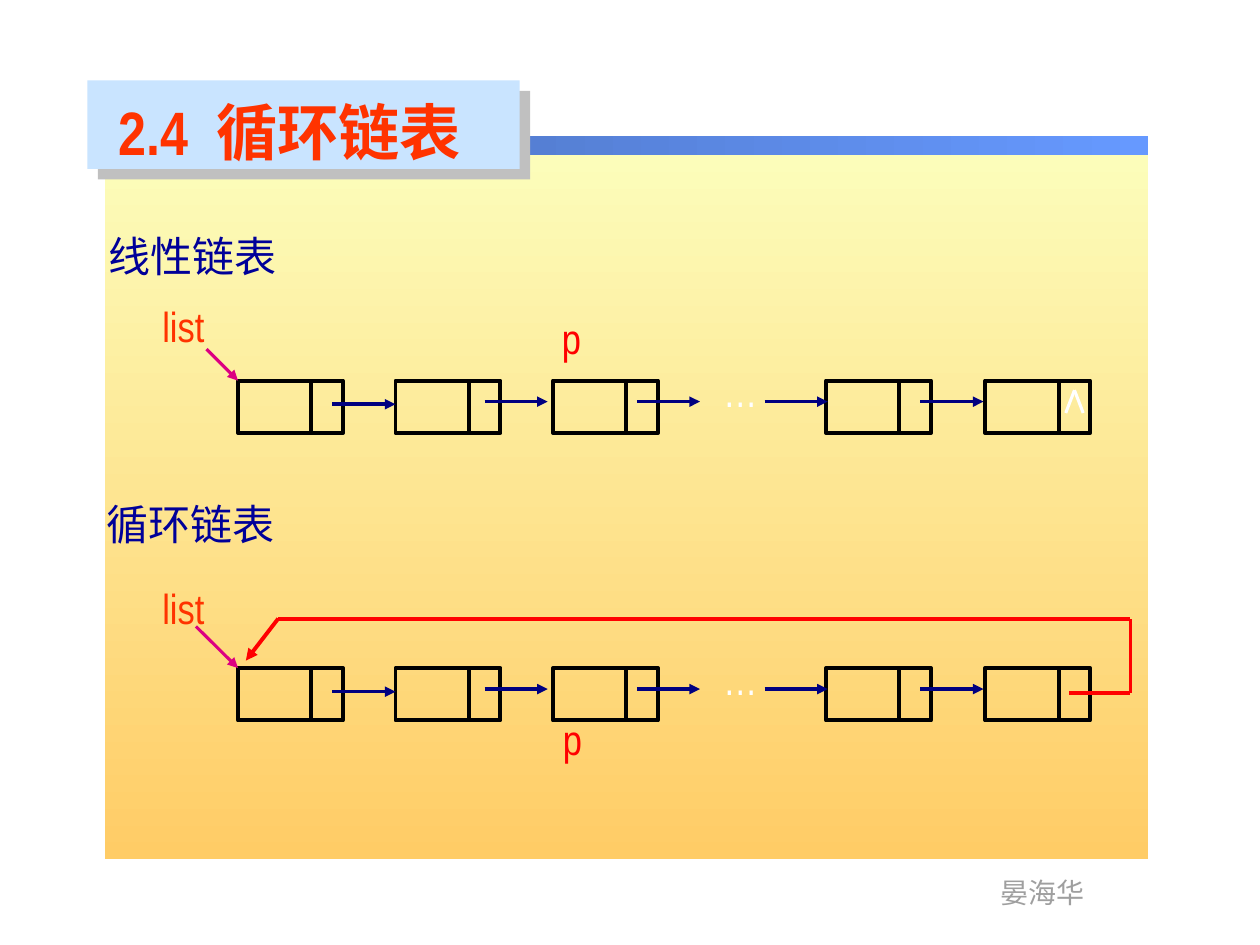
from dataclasses import dataclass
from lxml.etree import SubElement
from pptx import Presentation
from pptx.dml.color import RGBColor as RGB
from pptx.enum.shapes import MSO_CONNECTOR as CONN, MSO_SHAPE as SHAPE
from pptx.enum.text import MSO_ANCHOR as ANCHOR, PP_ALIGN as ALIGN
from pptx.oxml.ns import qn
from pptx.util import Pt


@dataclass(frozen=True)
class Theme:
    latin: str = "Arial Narrow"
    cjk: str = "Noto Sans CJK SC"
    title_size: float = 35
    body_size: float = 24
    author_size: float = 16
    node_line: float = 2.25
    link_line: float = 2
    thin_line: float = 1.75
    title: str = "FF3300"
    heading: str = "000099"
    pointer: str = "FF0000"
    head_arrow: str = "DC0081"
    link: str = "000080"
    node: str = "000000"
    light: str = "FFFFFF"
    author: str = "9F9F9F"
    plate: str = "C9E4FF"
    plate_shadow: str = "C0C0C0"
    panel: tuple = ("FCFEBC", "FFCC66")
    band: tuple = ("496DB6", "6699FF")


def add_run(p, text, size, color, latin, cjk, bold=False, spacing=0):
    """Add text to a paragraph with its format; spacing is in points."""
    r = p.add_run()
    r.text = text
    r.font.size, r.font.bold, r.font.name = Pt(size), bold, latin
    r.font.color.rgb = RGB.from_string(color)
    rpr = r.font._element
    SubElement(rpr, qn("a:ea")).set("typeface", cjk)
    if spacing:
        rpr.set("spc", str(spacing * 100))
    return r


class Deck:
    def __init__(self, theme):
        self.theme = theme
        self.prs = Presentation()
        self.prs.slide_width, self.prs.slide_height = Pt(720), Pt(540)
        self.slide = self.prs.slides.add_slide(self.prs.slide_layouts[5])
        self.shapes = self.slide.shapes

    def group(self):
        """Send the following elements into a new group."""
        self.shapes = self.slide.shapes.add_group_shape().shapes

    def ungroup(self):
        self.shapes = self.slide.shapes

    def rect(self, x, y, w, h, fill=None, line=None, gradient=None, angle=0):
        sp = self.shapes.add_shape(SHAPE.RECTANGLE, Pt(x), Pt(y), Pt(w), Pt(h))
        sp.shadow.inherit = False
        if gradient:
            sp.fill.gradient()
            sp.fill.gradient_angle = angle
            for stop, color in zip(sp.fill.gradient_stops, gradient):
                stop.color.rgb = RGB.from_string(color)
        elif fill:
            sp.fill.solid()
            sp.fill.fore_color.rgb = RGB.from_string(fill)
        else:
            sp.fill.background()
        if line:
            sp.line.color.rgb = RGB.from_string(line)
            sp.line.width = Pt(self.theme.node_line)
        else:
            sp.line.fill.background()
        return sp

    def drop_shadow(self, sp, color, distance):
        effects = sp._element.spPr.find(qn("a:effectLst"))
        shadow = SubElement(effects, qn("a:outerShdw"), dist=str(Pt(distance)),
                            dir="2700000", algn="ctr", rotWithShape="0")
        SubElement(shadow, qn("a:srgbClr"), val=color)

    def line(self, x1, y1, x2, y2, color, width, arrow=False):
        cx = self.shapes.add_connector(CONN.STRAIGHT, Pt(x1), Pt(y1), Pt(x2), Pt(y2))
        cx.line.color.rgb = RGB.from_string(color)
        cx.line.width = Pt(width)
        if arrow:
            SubElement(cx.line._get_or_add_ln(), qn("a:tailEnd"), type="triangle")
        SubElement(cx._element.spPr, qn("a:effectLst"))
        return cx

    def text(self, x, y, w, h, text, color, size=None, align=ALIGN.LEFT,
             wrap=True, spacing=None):
        t = self.theme
        tf = self.shapes.add_textbox(Pt(x), Pt(y), Pt(w), Pt(h)).text_frame
        tf.word_wrap = wrap
        p = tf.paragraphs[0]
        p.alignment, p.line_spacing = align, spacing
        add_run(p, text, size or t.body_size, color, t.latin, t.cjk)

    def title(self, x, y, w, h, number, name):
        t, sp = self.theme, self.slide.shapes.title
        sp.left, sp.top, sp.width, sp.height = Pt(x), Pt(y), Pt(w), Pt(h)
        self.slide.shapes._spTree.append(sp._element)  # above the plate
        tf = sp.text_frame
        tf.vertical_anchor = ANCHOR.TOP
        tf.margin_left = Pt(14.5)
        p = tf.paragraphs[0]
        p.alignment = ALIGN.LEFT
        style = dict(size=t.title_size, color=t.title, cjk=t.cjk, bold=True)
        add_run(p, number, latin=t.latin, **style)
        add_run(p, " ", latin=t.latin, spacing=8, **style)
        add_run(p, name, latin=t.cjk, **style)

    def linked_list(self, top, label_top, head_start):
        """Draw five nodes, their links and the labelled head pointer."""
        t = self.theme
        for x in NODE_X:
            self.rect(x, top, DATA_W, NODE_H, line=t.node)
            self.rect(x + DATA_W, top, NEXT_W, NODE_H, line=t.node)
        for x, dy in LINKS:
            self.line(x, top + dy, x + LINK_W, top + dy, t.link, t.link_line, True)
        self.text(404, top - 12, 38, 36, "…", t.light, align=ALIGN.CENTER, wrap=False)
        self.text(82, label_top, 45.5, 36, "list", t.title, align=ALIGN.CENTER, wrap=False)
        self.line(*head_start, NODE_X[0], top, t.head_arrow, t.thin_line, True)


# List geometry, in points
NODE_X = (136, 226, 316, 472, 563)
DATA_W, NEXT_W, NODE_H = 42, 18, 30
LINK_W = 36
LINKS = ((190, 13.5), (277, 12), (364, 12), (437, 12), (526, 12))
LINEAR_TOP, CIRCULAR_TOP = 217.5, 381.75


def main():
    t = Theme()
    d = Deck(t)

    # Background panel, band and author
    d.rect(60, 79, 596, 412, gradient=t.panel, angle=270)
    d.rect(60.5, 78, 595.5, 10.5, gradient=t.band)
    d.text(564.5, 497, 62.5, 26.5, "晏海华", t.author, size=t.author_size, wrap=False)

    # Linear list, closed by a null mark
    d.group()
    d.linked_list(LINEAR_TOP, 168, (118, 199.5))
    for x in (609, 619):
        d.line(614, 223, x, 236, t.light, t.thin_line)
    d.ungroup()
    d.text(55, 132.5, 143, 32, "线性链表", t.heading, spacing=0.85)

    # Circular list
    d.group()
    d.linked_list(CIRCULAR_TOP, 329.5, (112, 358))

    # Path from the last node back to the first
    d.group()
    back = ((611, 396), (646, 396), (646, 353.5), (159, 353.5), (140.5, 377.5))
    for i, (a, b) in enumerate(zip(back, back[1:]), 1):
        d.line(*a, *b, t.pointer, t.node_line, arrow=i == len(back) - 1)
    d.ungroup()
    d.text(54, 285.5, 143, 32, "循环链表", t.heading, spacing=0.85)

    # Pointer labels
    for x, y in ((314, 175), (314.5, 404)):
        d.text(x, y, 29, 36, "p", t.pointer)

    # Title on its plate
    plate = d.rect(50, 46, 247, 50.5, fill=t.plate)
    d.drop_shadow(plate, t.plate_shadow, 8.5)
    d.title(53, 50.5, 267, 49, "2.4", "循环链表")

    d.prs.save("out.pptx")


if __name__ == "__main__":
    main()
